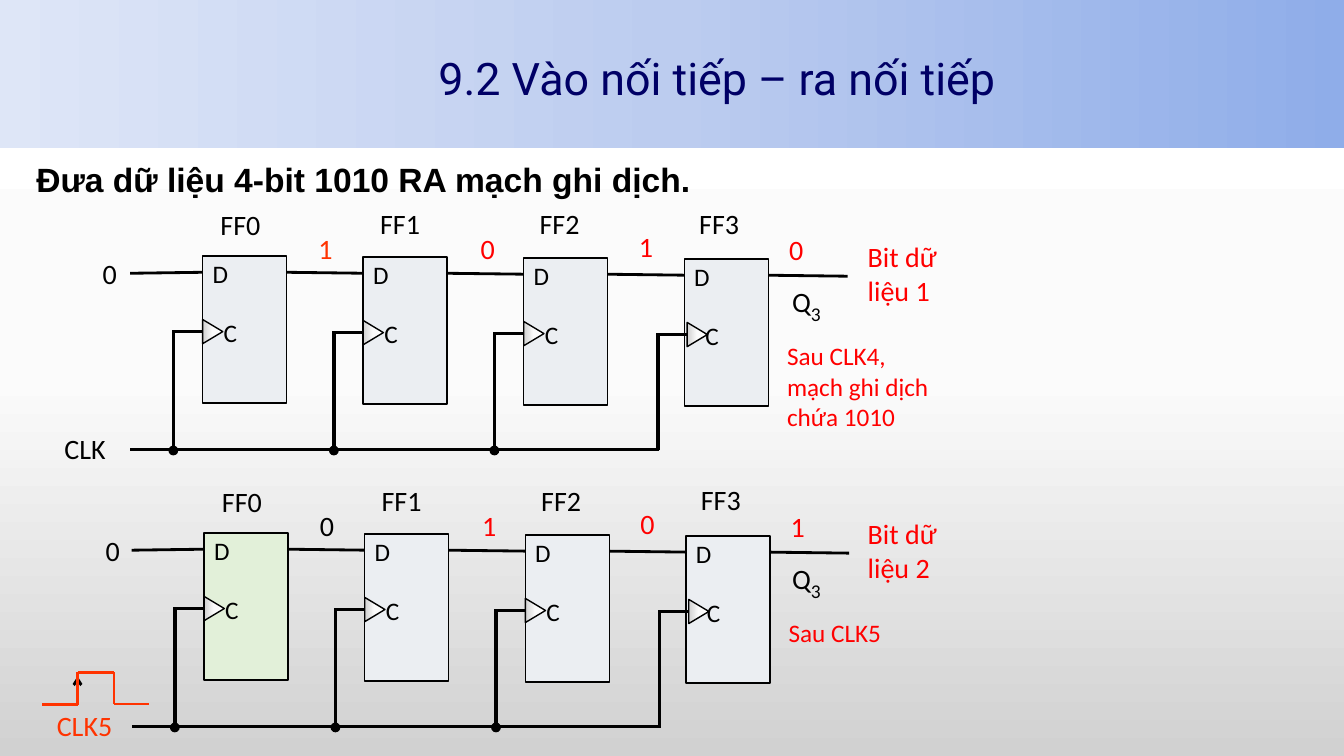
from lxml.etree import SubElement as add_child
from pptx import Presentation
from pptx.dml.color import RGBColor
from pptx.enum.shapes import MSO_CONNECTOR as Connector, MSO_SHAPE as Preset
from pptx.enum.text import MSO_ANCHOR as Anchor, MSO_AUTO_SIZE as AutoSize, PP_ALIGN as Align
from pptx.oxml.ns import qn
from pptx.util import Pt

TITLE = "9.2 Vào nối tiếp – ra nối tiếp"
HEADING = "Đưa dữ liệu 4-bit 1010 RA mạch ghi dịch."
BLACK, RED, ORANGE, NAVY = "000000", "FF0000", "FF3300", "000066"
PALE, GREEN = "EBEEF2", "E2F0D9"
GREY_FADE = ("FFFFFF", "FBFBFB", "D1D1D1")
BLUE_FADE = ("8FADE9", "BCCCEF", "DEE6F7")

REGISTERS = [
    {"shift": (0, 0), "first_fill": PALE, "bits": "1010",
     "bit_colors": (ORANGE, RED, RED, RED),
     "clock": ("CLK", 39, BLACK), "input_left": 66.2,
     "output": ["Bit dữ", "liệu 1"],
     "state": ["Sau CLK4,", "mạch ghi dịch", "chứa 1010"]},
    {"shift": (1.1, 197.8), "first_fill": GREEN, "bits": "0101",
     "bit_colors": (BLACK, RED, RED, RED),
     "clock": ("CLK5", 33.5, ORANGE), "input_left": 68.3,
     "output": ["Bit dữ", "liệu 2"],
     "state": ["Sau CLK5"]},
]
BIT_PLACES = [(220.3, 162), (336.2, 162), (449.3, 160.6), (556.6, 162.7)]
CLOCK_NUDGES = (0, 0, 0, 2)
PULSE = [(30.2, 503.3), (55.4, 503.3), (55.4, 480.2), (81.4, 480.2), (81.4, 502.9), (106.6, 502.9)]

FLOP_LEFT, FLOP_TOP, FLOP_STEP, FLOP_DROP = 144.7, 182.9, 114.7, 0.7
FLOP_WIDTH, FLOP_HEIGHT = 60, 105.1
WIRE_LENGTH, WIRE_OFFSET = 56.7, 11.6
TAP_LENGTH, TAP_OFFSET = 21.6, 54
BUS_LEFT, BUS_RIGHT, BUS_TOP = 93, 471, 321.2

deck = Presentation()
deck.slide_width, deck.slide_height = Pt(960), Pt(540)
page = deck.slides.add_slide(deck.slide_layouts[1])


def color(value):
    return RGBColor.from_string(value)


def fade(fill, owner, colors, angle):
    fill.gradient()
    gradient = next(owner.iter(qn("a:gradFill")))
    for child in list(gradient):
        gradient.remove(child)
    stops = add_child(gradient, qn("a:gsLst"))
    for position, value in zip((0, 50000, 100000), colors):
        stop = add_child(stops, qn("a:gs"), pos=str(position))
        add_child(stop, qn("a:srgbClr"), val=value)
    add_child(gradient, qn("a:lin"), ang=str(angle * 60000), scaled="0")


def place(shape, left, top, width, height):
    shape.left, shape.top, shape.width, shape.height = Pt(left), Pt(top), Pt(width), Pt(height)


def write(box, lines, size=20, font="Calibri", ink=BLACK, bold=False, anchor=Anchor.TOP,
          line_spacing=None, gap=0, indents=(), inset_top=3.6):
    frame = box.text_frame
    frame.word_wrap = True
    frame.auto_size = AutoSize.NONE
    frame.vertical_anchor = anchor
    frame.margin_left = frame.margin_right = Pt(7.2)
    frame.margin_top, frame.margin_bottom = Pt(inset_top), Pt(3.6)
    for index, line in enumerate(lines):
        para = frame.add_paragraph() if index else frame.paragraphs[0]
        properties = para._p.get_or_add_pPr()
        properties.set("marL", str(Pt(indents[index] if indents else 0)))
        properties.set("indent", "0")
        add_child(properties, qn("a:buNone"))
        para.alignment = Align.LEFT
        para.space_before = Pt(gap if index else 0)
        if line_spacing:
            para.line_spacing = line_spacing
        for piece in [(line, size, 0)] if isinstance(line, str) else line:
            span = para.add_run()
            span.text = piece[0]
            span.font.size, span.font.name, span.font.bold = Pt(piece[1]), font, bold
            span.font.color.rgb = color(ink)
            if piece[2]:
                span.font._element.set("baseline", str(piece[2] * 1000))


def label(left, top, width, lines, **style):
    height = 7.2 + 1.22 * style.get("size", 20) * len(lines)
    box = page.shapes.add_textbox(Pt(left), Pt(top), Pt(width), Pt(height))
    write(box, lines, **style)


def draw(preset, left, top, width, height, fill=None, outline=BLACK):
    shape = page.shapes.add_shape(preset, Pt(left), Pt(top), Pt(width), Pt(height))
    shape.shadow.inherit = False
    if fill:
        shape.fill.solid()
        shape.fill.fore_color.rgb = color(fill)
    if outline:
        shape.line.color.rgb = color(outline)
        shape.line.width = Pt(1)
    else:
        shape.line.fill.background()
    return shape


def wire(start, end, width=2, ink=BLACK, arrow=False):
    link = page.shapes.add_connector(Connector.STRAIGHT, *map(Pt, start + end))
    link.line.color.rgb = color(ink)
    link.line.width = Pt(width)
    if arrow:
        add_child(link.line._get_or_add_ln(), qn("a:tailEnd"), type="arrow")
    add_child(link._element.spPr, qn("a:effectLst"))


def draw_flop(left, top, fill, nudge, bus):
    body = draw(Preset.RECTANGLE, left, top, FLOP_WIDTH, FLOP_HEIGHT, fill)
    write(body, ["D", "C"], size=18, gap=20.5, indents=(0, 8), inset_top=1.6)
    right, data, tap = left + FLOP_WIDTH, top + WIRE_OFFSET, top + TAP_OFFSET
    wire((right, data), (right + WIRE_LENGTH, data + FLOP_DROP))
    edge = left + nudge
    marker = draw(Preset.ISOSCELES_TRIANGLE, edge - 1.4, tap - 7.2, 17.3, 14.4)
    marker.rotation = 90
    fade(marker.fill, marker._element, GREY_FADE, 90)
    drop = edge - TAP_LENGTH + 0.7
    wire((edge, tap), (edge - TAP_LENGTH, tap))
    wire((drop, tap - 1), (drop, bus), 2.5)
    return drop


def draw_register(register):
    across, down = register["shift"]
    bus = BUS_TOP + down
    wire((BUS_LEFT + across, FLOP_TOP + WIRE_OFFSET + FLOP_DROP + down),
         (FLOP_LEFT + across, FLOP_TOP + WIRE_OFFSET + down))
    for index, nudge in enumerate(CLOCK_NUDGES):
        left = FLOP_LEFT + across + index * FLOP_STEP
        top = FLOP_TOP + down + index * FLOP_DROP
        drop = draw_flop(left, top, PALE if index else register["first_fill"], nudge, bus)
        if index < 3:
            draw(Preset.OVAL, drop - 3, bus - 2.4, 6, 6, BLACK)
        label(150.4 + across + index * 114, 144.5 + down - index * 0.3, 56, [f"FF{index}"])
        bit_left, bit_top = BIT_PLACES[index]
        label(bit_left + across, bit_top + down, 46, [register["bits"][index]],
              ink=register["bit_colors"][index])
    wire((BUS_RIGHT + across, bus), (BUS_LEFT + across, bus), 2.5)
    name, name_left, ink = register["clock"]
    label(name_left, 304.6 + down, 72, [name], ink=ink)
    label(register["input_left"], 179.8 + down, 32, ["0"])
    label(558.7, 195.8 + down, 54, [[("Q", 20, 0), ("3", 24, -25)]])
    label(555.1 + across, 239.8 + down, 132, register["state"], size=18, ink=RED)
    label(612.7, 167.6 + down, 76, register["output"], ink=RED)


fade(page.background.fill, page._element, GREY_FADE, 90)
header = draw(Preset.RECTANGLE, 0, 0, 960, 105.8, outline=None)
fade(header.fill, header._element, BLUE_FADE, 180)
page.shapes._spTree.insert(2, header._element)

title, heading = page.shapes.title, page.placeholders[1]
place(title, 306, 5.8, 642.2, 104.4)
write(title, [TITLE], size=32, font="Roboto", ink=NAVY, anchor=Anchor.MIDDLE, line_spacing=0.9)
place(heading, 18.7, 113, 648, 72)
write(heading, [HEADING], size=24, font="Arial", bold=True, line_spacing=0.9)

for register in REGISTERS:
    draw_register(register)

wire((55.4, 500.4), (55.4, 483.1), arrow=True)
for start, end in zip(PULSE, PULSE[1:]):
    wire(start, end, ink=ORANGE)

deck.save("out.pptx")
